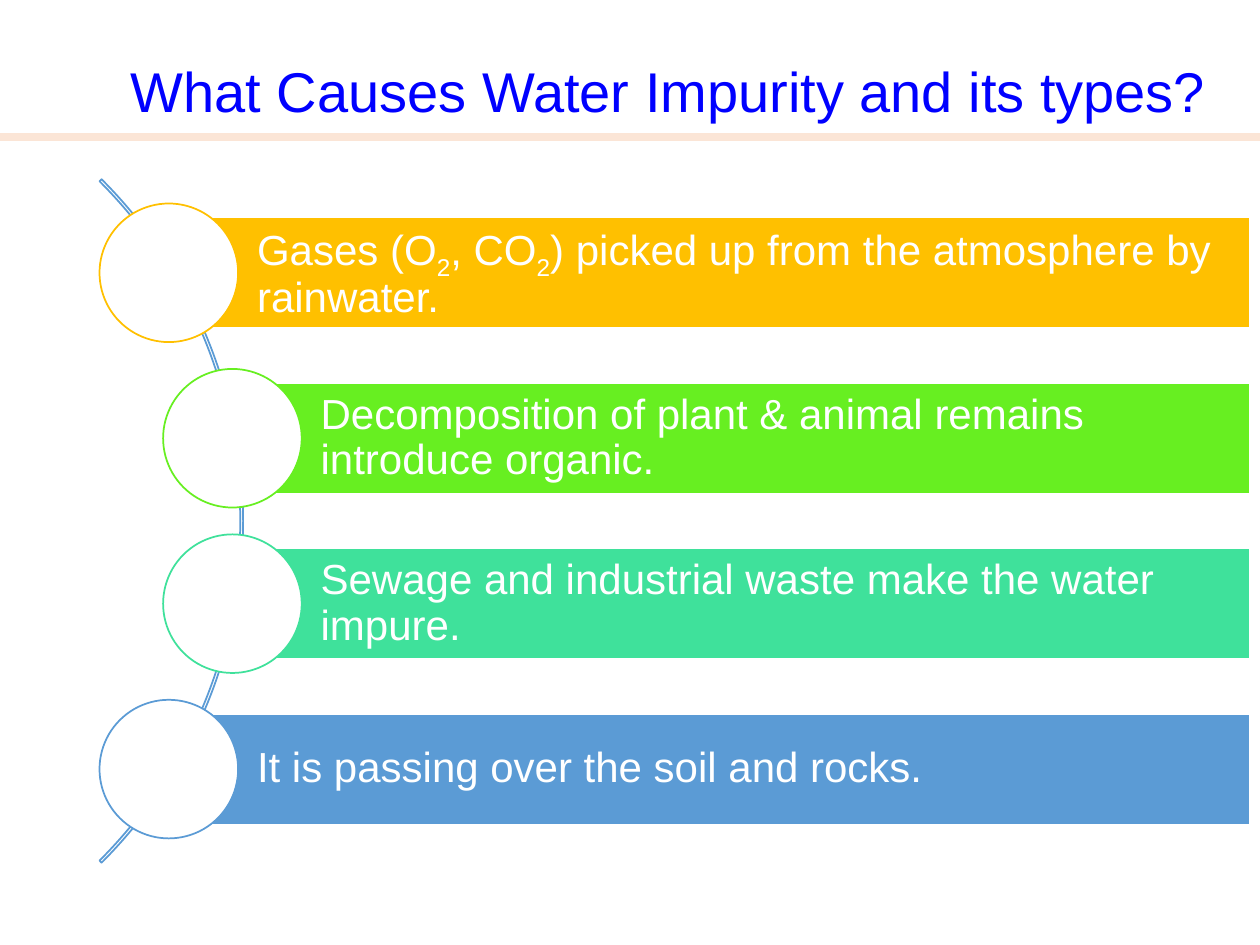
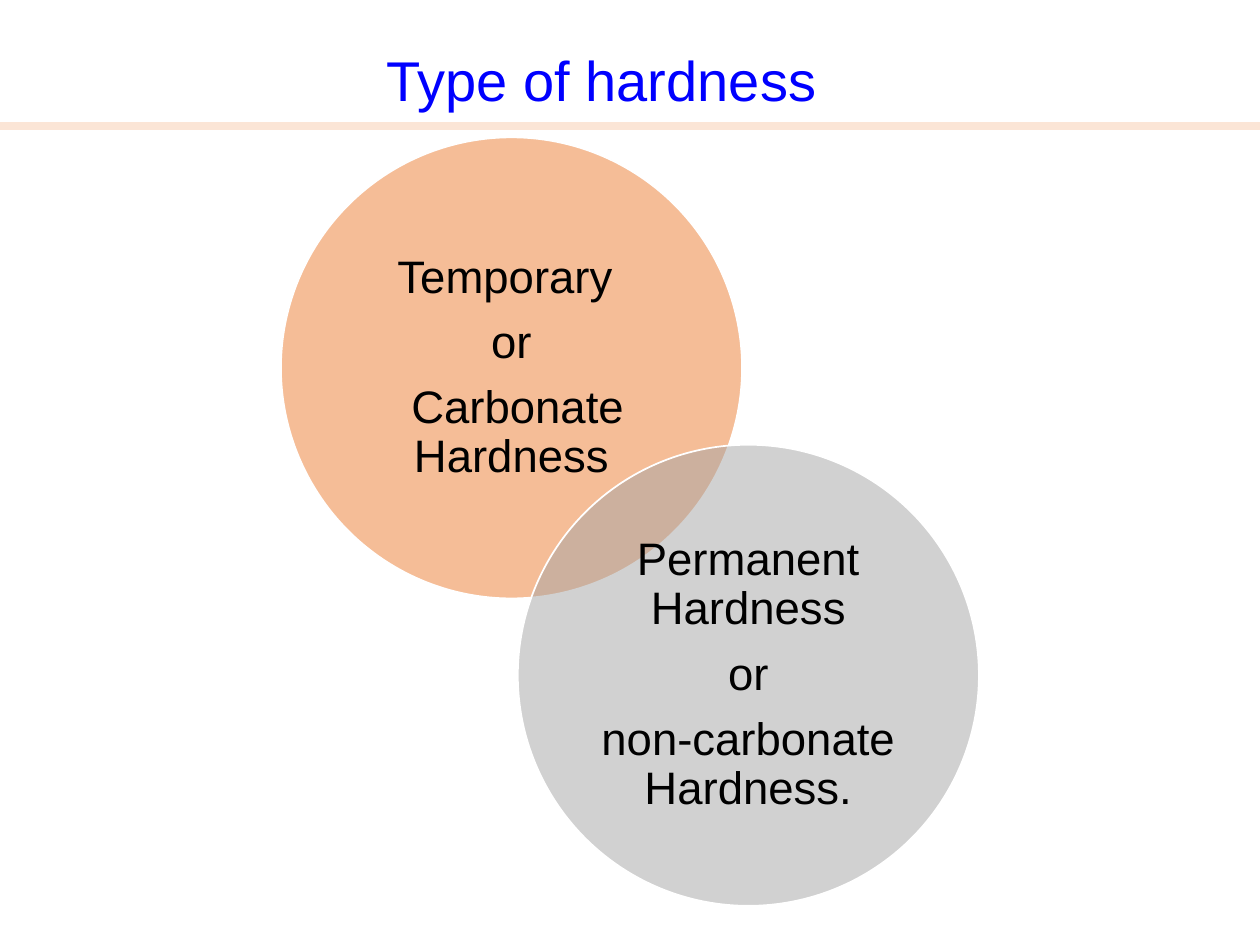
from dataclasses import dataclass

from lxml import etree
from pptx import Presentation, util as u
from pptx.dml.color import RGBColor
from pptx.enum import shapes, text
from pptx.oxml import ns

COLUMNS, ROWS = 100, 75  # grid that covers the slide; all boxes are in its cells
CELL = u.Inches(0.1)


@dataclass(frozen=True)
class Theme:
    font: str = "Arial"
    title: str = "0000FF"
    rule: str = "FBE5D6"
    white: str = "FFFFFF"
    black: str = "000000"
    orange: str = "ED7D31"
    grey: str = "A5A5A5"
    blue: str = "5B9BD5"
    amber: str = "FFC000"
    lime: str = "67EF21"
    mint: str = "3FE19B"
    title_size: int = 32
    bar_size: int = 24
    disc_size: int = 26
    outline: float = 1
    rule_width: float = 4.5
    line_spacing: float = 0.9
    space_after: float = 0.35


THEME = Theme()


def cells(*lengths):
    return [u.Emu(round(length * CELL)) for length in lengths]


def write(shape, paragraphs, size, color, align=text.PP_ALIGN.LEFT,
          anchor=text.MSO_ANCHOR.MIDDLE, insets=(1, 0.5, 1, 0.5),
          line_spacing=None, space_after=None):
    """Fill a shape with paragraphs, each a tuple of spans; every second span is a subscript."""
    frame = shape.text_frame
    frame.word_wrap = True
    frame.vertical_anchor = anchor
    (frame.margin_left, frame.margin_top,
     frame.margin_right, frame.margin_bottom) = cells(*insets)
    for index, spans in enumerate(paragraphs):
        para = frame.add_paragraph() if index else frame.paragraphs[0]
        para.alignment = align
        if line_spacing:
            para.line_spacing = line_spacing
        if space_after:
            para.space_after = u.Pt(space_after * size)
        for place, words in enumerate(spans):
            span = para.add_run()
            span.text = words
            span.font.name = THEME.font
            span.font.size = u.Pt(size)
            span.font.color.rgb = RGBColor.from_string(color)
            if place % 2:
                span.font._element.set("baseline", "-25000")


def add_preset(page, kind, box, line, fill=None, opacity=None):
    shape = page.shapes.add_shape(kind, *cells(*box))
    shape.shadow.inherit = False
    shape.line.color.rgb = RGBColor.from_string(line)
    shape.line.width = u.Pt(THEME.outline)
    if fill is None:
        shape.fill.background()
        return shape
    shape.fill.solid()
    shape.fill.fore_color.rgb = RGBColor.from_string(fill)
    if opacity is not None:
        color = shape._element.spPr.find(ns.qn("a:solidFill"))[0]
        etree.SubElement(color, ns.qn("a:alpha")).set("val", str(round(opacity * 100000)))
    return shape


def add_header(page, title, box):
    """Place the title in its box and a full-width rule just below it."""
    left, top, width, height = box
    title_box = page.shapes.add_textbox(*cells(*box))
    write(title_box, [(title,)], THEME.title_size, THEME.title,
          anchor=text.MSO_ANCHOR.TOP)
    rule_top = top + height + 0.5
    rule = page.shapes.add_connector(
        shapes.MSO_CONNECTOR.STRAIGHT, *cells(COLUMNS, rule_top, 0, rule_top))
    rule.line.color.rgb = RGBColor.from_string(THEME.rule)
    rule.line.width = u.Pt(THEME.rule_width)
    etree.SubElement(rule._element.spPr, ns.qn("a:effectLst"))


def add_cause_list(page, causes, box):
    """Draw bars with round markers strung along an arc."""
    left, top, width, height = box
    middle = top + height / 2
    arc_size, arc_bulge = 76.7, 11.4
    marker, pitch, inner_indent = 11, 13.13, 5.05
    bar_height = 0.8 * marker

    arc = add_preset(page, shapes.MSO_SHAPE.BLOCK_ARC,
                     (left + arc_bulge - arc_size, middle - arc_size / 2, arc_size, arc_size),
                     THEME.blue)
    for index, value in enumerate((189, 27, 0.003)):
        arc.adjustments[index] = value

    for index, (spans, color) in enumerate(causes):
        is_inner = 0 < index < len(causes) - 1
        marker_left = left + inner_indent * is_inner
        bar_left = marker_left + marker / 2
        center = middle + (index - (len(causes) - 1) / 2) * pitch
        bar = add_preset(page, shapes.MSO_SHAPE.RECTANGLE,
                         (bar_left, center - bar_height / 2, left + width - bar_left, bar_height),
                         THEME.white, color)
        write(bar, [spans], THEME.bar_size, THEME.white, insets=(7, 0.7, 0.7, 0.7),
              line_spacing=THEME.line_spacing, space_after=THEME.space_after)
        add_preset(page, shapes.MSO_SHAPE.OVAL,
                   (marker_left, center - marker / 2, marker, marker), color, THEME.white)


def add_overlapping_discs(page, discs, box):
    """Spread equal discs from the top left to the bottom right of the box."""
    left, top, width, height = box
    size = 0.6 * height
    for index, (lines, color) in enumerate(discs):
        share = index / (len(discs) - 1)
        disc = add_preset(page, shapes.MSO_SHAPE.OVAL,
                          (left + share * (width - size), top + share * (height - size),
                           size, size),
                          THEME.white, color, opacity=0.5)
        write(disc, [(line,) for line in lines], THEME.disc_size, THEME.black,
              align=text.PP_ALIGN.CENTER, insets=(1.1,) * 4,
              line_spacing=THEME.line_spacing, space_after=THEME.space_after)


def add_causes_page(page):
    add_header(page, "What Causes Water Impurity and its types?", (9.4, 4, 90.6, 6.4))
    add_cause_list(page, [
        (("Gases (O", "2", ", CO", "2", ") picked up from the atmosphere by rainwater."),
         THEME.amber),
        (("Decomposition of plant & animal remains introduce organic.",), THEME.lime),
        (("Sewage and industrial waste make the water impure.",), THEME.mint),
        (("It is passing over the soil and rocks.",), THEME.blue),
    ], (7.9, 14.35, 91.3, 54))


def add_hardness_page(page):
    add_header(page, "Type of hardness", (29.7, 3.1, 40.6, 6.4))
    add_overlapping_discs(page, [
        (("Temporary ", "or", " Carbonate Hardness"), THEME.orange),
        (("Permanent Hardness", " or ", "non-carbonate Hardness."), THEME.grey),
    ], (22.3, 10.9, 55.4, 61))


def main():
    deck = Presentation()
    deck.slide_width, deck.slide_height = cells(COLUMNS, ROWS)
    blank = deck.slide_layouts[6]
    for add_content in (add_causes_page, add_hardness_page):
        add_content(deck.slides.add_slide(blank))
    deck.save("out.pptx")


if __name__ == "__main__":
    main()
